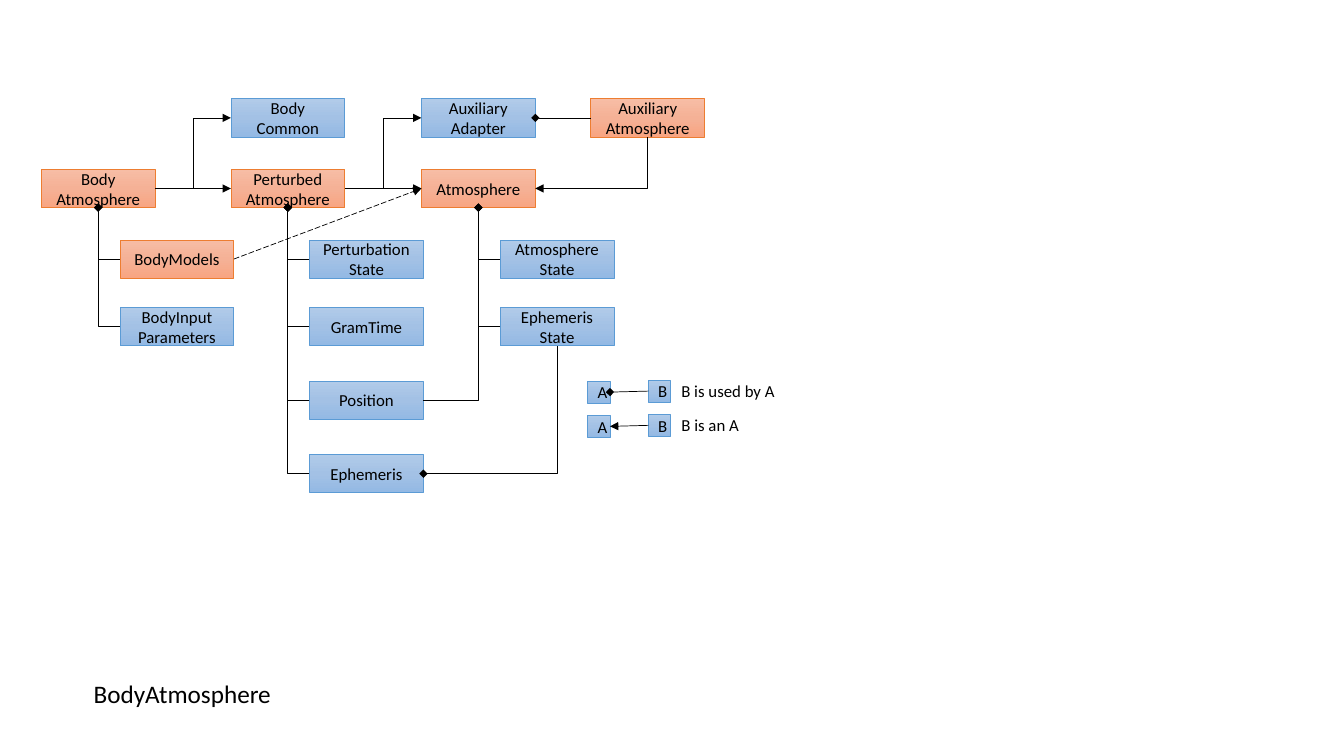
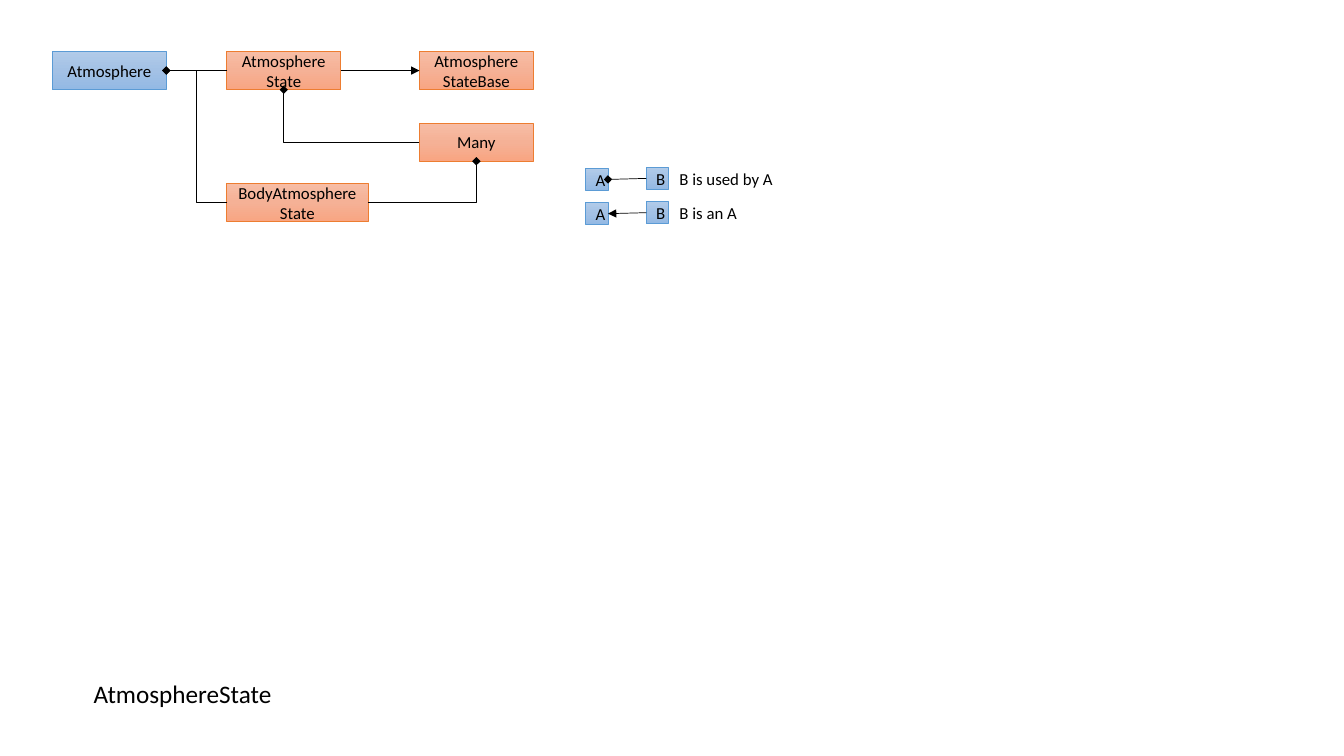
from copy import deepcopy
from dataclasses import dataclass

from lxml import etree
from pptx import Presentation
from pptx.dml.color import RGBColor
from pptx.enum.dml import MSO_LINE
from pptx.enum.shapes import MSO_CONNECTOR, MSO_SHAPE
from pptx.enum.text import MSO_ANCHOR, MSO_AUTO_SIZE, PP_ALIGN
from pptx.oxml.ns import qn
from pptx.util import Inches, Pt

# Shared style
FONT = "Calibri"
LABEL_SIZE, TITLE_SIZE = 12, 18
LINE_WIDTH = Pt(0.5)
BLACK = RGBColor(0x00, 0x00, 0x00)
RECT = MSO_SHAPE.RECTANGLE
STRAIGHT, ELBOW = MSO_CONNECTOR.STRAIGHT, MSO_CONNECTOR.ELBOW
LONG_DASH = MSO_LINE.LONG_DASH
MIDDLE, CENTER = MSO_ANCHOR.MIDDLE, PP_ALIGN.CENTER
FIT_SHAPE = MSO_AUTO_SIZE.SHAPE_TO_FIT_TEXT
TOP, LEFT, BOTTOM, RIGHT = range(4)
USES, IS_A = "diamond", "triangle"
BOX_W, BOX_H, KEY_SIZE = 1.13, 0.38, 0.22
KEY_STEP = 0.34


@dataclass(frozen=True)
class Palette:
    stops: tuple[RGBColor, RGBColor, RGBColor]
    line: RGBColor


BLUE = Palette((RGBColor(0xB1, 0xCB, 0xE9), RGBColor(0xA3, 0xC1, 0xE5),
                RGBColor(0x93, 0xB9, 0xE4)), RGBColor(0x5B, 0x9B, 0xD5))
ORANGE = Palette((RGBColor(0xF7, 0xBD, 0xA5), RGBColor(0xF5, 0xB1, 0x96),
                  RGBColor(0xF8, 0xA5, 0x82)), RGBColor(0xED, 0x7D, 0x31))


@dataclass(frozen=True)
class Box:
    label: str  # one word per line
    x: float
    y: float
    palette: Palette = BLUE
    w: float = BOX_W
    h: float = BOX_H


@dataclass(frozen=True)
class Link:
    start: str
    start_side: int
    end: str
    end_side: int
    mark: str
    route: str = "straight"  # straight, corner or step
    mark_at_start: bool = False
    dashed: bool = False


@dataclass(frozen=True)
class Diagram:
    title: str
    boxes: list[Box]
    links: list[Link]
    key_x: float
    key_y: float


def add_run(p, text: str, size: int) -> None:
    r = p.add_run()
    r.text = text
    r.font.size = Pt(size)
    r.font.name = FONT
    r.font.color.rgb = BLACK


def add_box(shapes, box: Box):
    sp = shapes.add_shape(RECT, Inches(box.x), Inches(box.y),
                          Inches(box.w), Inches(box.h))
    sp.shadow.inherit = False
    # Three-stop gradient from top to bottom
    sp.fill.gradient()
    sp.fill.gradient_angle = 270
    gs_list = sp._element.spPr.find(".//" + qn("a:gsLst"))
    gs_list.insert(1, deepcopy(gs_list[0]))
    for i, (stop, colour) in enumerate(zip(sp.fill.gradient_stops, box.palette.stops)):
        stop.position = i / 2
        stop.color.rgb = colour
    sp.line.color.rgb = box.palette.line
    sp.line.width = LINE_WIDTH
    tf = sp.text_frame
    tf.word_wrap = True
    tf.vertical_anchor = MIDDLE
    for i, word in enumerate(box.label.split()):
        p = tf.add_paragraph() if i else tf.paragraphs[0]
        p.alignment = CENTER
        add_run(p, word, LABEL_SIZE)
    return sp


def add_text(shapes, text: str, x: float, y: float, w: float, h: float,
             size: int) -> None:
    tf = shapes.add_textbox(Inches(x), Inches(y), Inches(w), Inches(h)).text_frame
    tf.word_wrap = False
    tf.auto_size = FIT_SHAPE
    add_run(tf.paragraphs[0], text, size)


def add_link(shapes, placed: dict, link: Link) -> None:
    kind = STRAIGHT if link.route == "straight" else ELBOW
    c = shapes.add_connector(kind, 0, 0, 0, 0)
    c.begin_connect(placed[link.start], link.start_side)
    c.end_connect(placed[link.end], link.end_side)
    c.line.color.rgb = BLACK
    c.line.width = LINE_WIDTH
    if link.dashed:
        c.line.dash_style = LONG_DASH
    # One-bend route, arrowhead and no shadow
    sp_pr = c._element.spPr
    if link.route == "corner":
        sp_pr.find(qn("a:prstGeom")).set("prst", "bentConnector2")
    end_tag = "a:headEnd" if link.mark_at_start else "a:tailEnd"
    etree.SubElement(c.get_or_add_ln(), qn(end_tag), type=link.mark)
    etree.SubElement(sp_pr, qn("a:effectLst"))


def add_key(slide, x: float, y: float) -> None:
    shapes = slide.shapes.add_group_shape().shapes
    rows = (("B is used by A", 1.14, USES), ("B is an A", 0.78, IS_A))
    for i, (text, width, mark) in enumerate(rows):
        row_y = y + i * KEY_STEP
        keys = (Box("A", x, row_y + 0.05, w=KEY_SIZE, h=KEY_SIZE),
                Box("B", x + 0.6, row_y + 0.04, w=KEY_SIZE, h=KEY_SIZE))
        placed = {key.label: add_box(shapes, key) for key in keys}
        add_text(shapes, text, x + 0.83, row_y, width, 0.3, LABEL_SIZE)
        add_link(shapes, placed, Link("B", LEFT, "A", RIGHT, mark))


def add_diagram(prs, diagram: Diagram) -> None:
    slide = prs.slides.add_slide(prs.slide_layouts[6])
    placed = {box.label: add_box(slide.shapes, box) for box in diagram.boxes}
    for link in diagram.links:
        add_link(slide.shapes, placed, link)
    add_key(slide, diagram.key_x, diagram.key_y)
    add_text(slide.shapes, diagram.title, 0.83, 6.68, 1.98, 0.4, TITLE_SIZE)


def members(owner: str, *parts: str) -> list[Link]:
    """Links from the left of each part up to the bottom of its owner."""
    return [Link(part, LEFT, owner, BOTTOM, USES, "corner") for part in parts]


# Class columns, member columns and rows of the first diagram
COL_1, COL_2, COL_3, COL_4 = 0.41, 2.29, 4.18, 5.86
SUB_1, SUB_2, SUB_3 = 1.19, 3.07, 4.96
ROW_1, ROW_2, ROW_3, ROW_4, ROW_5, ROW_6 = 0.98, 1.68, 2.38, 3.05, 3.78, 4.51

BODY_ATMOSPHERE = Diagram(
    "BodyAtmosphere",
    [
        Box("Body Common", COL_2, ROW_1),
        Box("Auxiliary Adapter", COL_3, ROW_1),
        Box("Auxiliary Atmosphere", COL_4, ROW_1, ORANGE),
        Box("Body Atmosphere", COL_1, ROW_2, ORANGE),
        Box("Perturbed Atmosphere", COL_2, ROW_2, ORANGE),
        Box("Atmosphere", COL_3, ROW_2, ORANGE),
        Box("BodyModels", SUB_1, ROW_3, ORANGE),
        Box("Perturbation State", SUB_2, ROW_3),
        Box("Atmosphere State", SUB_3, ROW_3),
        Box("BodyInput Parameters", SUB_1, ROW_4),
        Box("GramTime", SUB_2, ROW_4),
        Box("Ephemeris State", SUB_3, ROW_4),
        Box("Position", SUB_2, ROW_5),
        Box("Ephemeris", SUB_2, ROW_6),
    ],
    [
        Link("Body Atmosphere", RIGHT, "Perturbed Atmosphere", LEFT, IS_A),
        Link("Body Atmosphere", RIGHT, "Body Common", LEFT, IS_A, "step"),
        Link("Perturbed Atmosphere", RIGHT, "Atmosphere", LEFT, IS_A),
        Link("Perturbed Atmosphere", RIGHT, "Auxiliary Adapter", LEFT, IS_A, "step"),
        Link("Auxiliary Atmosphere", LEFT, "Auxiliary Adapter", RIGHT, USES),
        Link("Atmosphere", RIGHT, "Auxiliary Atmosphere", BOTTOM, IS_A, "corner",
             mark_at_start=True),
        Link("BodyModels", RIGHT, "Atmosphere", LEFT, IS_A, dashed=True),
        *members("Body Atmosphere", "BodyModels", "BodyInput Parameters"),
        *members("Perturbed Atmosphere", "Perturbation State", "GramTime",
                 "Position", "Ephemeris"),
        *members("Atmosphere", "Atmosphere State", "Ephemeris State"),
        Link("Position", RIGHT, "Atmosphere", BOTTOM, USES, "corner"),
        Link("Ephemeris", RIGHT, "Ephemeris State", BOTTOM, USES, "corner",
             mark_at_start=True),
    ],
    5.83, 3.73)

ATMOSPHERE_STATE = Diagram(
    "AtmosphereState",
    [
        Box("Atmosphere", 0.52, 0.51),
        Box("Atmosphere State", 2.25, 0.51, ORANGE),
        Box("Atmosphere StateBase", 4.16, 0.51, ORANGE),
        Box("Many", 4.16, 1.22, ORANGE),
        Box("BodyAtmosphere State", 2.25, 1.82, ORANGE, w=1.4),
    ],
    [
        Link("Atmosphere State", RIGHT, "Atmosphere StateBase", LEFT, IS_A),
        Link("Atmosphere State", LEFT, "Atmosphere", RIGHT, USES),
        *members("Atmosphere State", "Many"),
        Link("BodyAtmosphere State", LEFT, "Atmosphere", RIGHT, USES, "step"),
        Link("BodyAtmosphere State", RIGHT, "Many", BOTTOM, USES, "corner"),
    ],
    5.81, 1.62)


def main() -> None:
    prs = Presentation()
    prs.slide_width, prs.slide_height = Inches(13.33), Inches(7.5)
    for diagram in (BODY_ATMOSPHERE, ATMOSPHERE_STATE):
        add_diagram(prs, diagram)
    prs.save("out.pptx")


if __name__ == "__main__":
    main()
